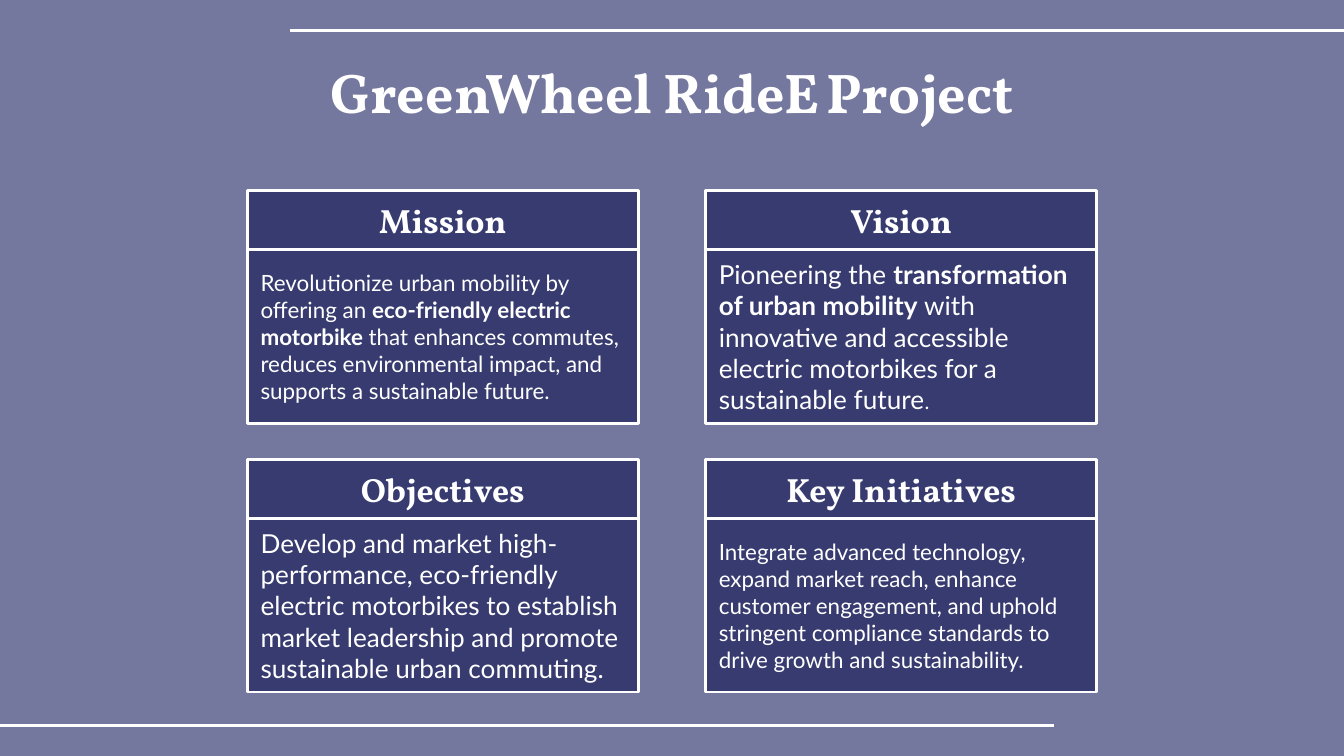
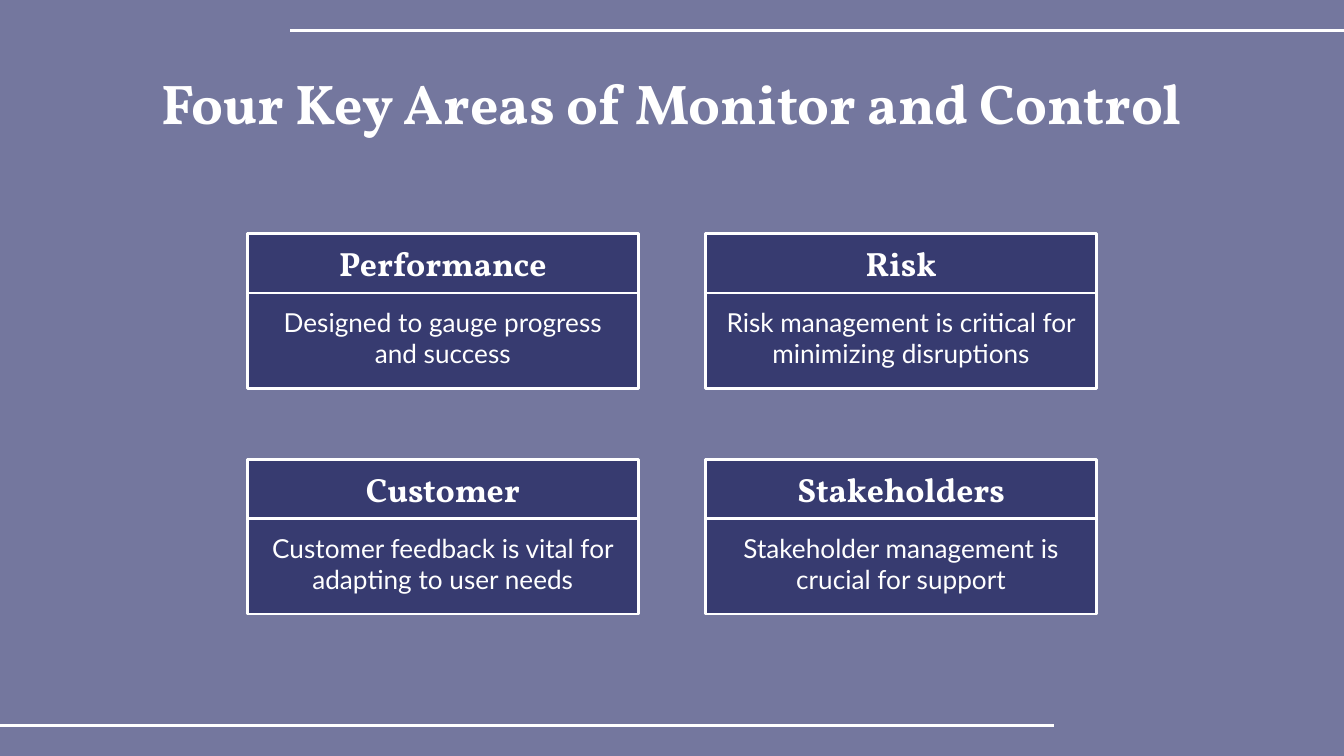
from lxml.etree import SubElement
from pptx import Presentation
from pptx.dml.color import RGBColor
from pptx.enum.shapes import MSO_CONNECTOR as Wire, MSO_SHAPE as Form
from pptx.enum.text import MSO_ANCHOR as Anchor, MSO_AUTO_SIZE as Fit, PP_ALIGN as Align
from pptx.oxml.ns import qn
from pptx.util import Inches, Pt

WIDE, HIGH = 10, 5.625
PALE = RGBColor(0xF3, 0xF4, 0xFF)
NAVY = RGBColor(0x00, 0x05, 0x46)
WHITE = RGBColor(0xFF, 0xFF, 0xFF)
SERIF, SANS = "Vollkorn", "Lato"
TITLE = (0.87, 0.41, 8.26, 0.53)
LEFT, SPAN, GAP = 1.84, 6.32, 0.5
HEAD = 0.44
TITLE_ONLY = 5


def write(shape, runs, size, font=SANS, bold=False, align=Align.LEFT,
          anchor=Anchor.MIDDLE, inset=0.1, after=0):
    """Fill a shape with one paragraph; a run is text or (text, font changes)."""
    frame = shape.text_frame
    frame.word_wrap, frame.auto_size = True, Fit.NONE
    frame.vertical_anchor = anchor
    frame.margin_left = frame.margin_right = Inches(inset)
    frame.margin_top = frame.margin_bottom = Inches(inset)
    para = frame.paragraphs[0]
    para.alignment, para.space_after = align, Pt(after)
    for item in [runs] if isinstance(runs, str) else runs:
        text, style = (item, {}) if isinstance(item, str) else item
        run = para.add_run()
        run.text = text
        run.font.name = font
        run.font.size = Pt(style.get("size", size))
        run.font.bold = style.get("bold", bold)
        run.font.color.rgb = style.get("color", WHITE)


def panel(slide, box, line=True):
    """Add a translucent navy rectangle."""
    shape = slide.shapes.add_shape(Form.RECTANGLE, *map(Inches, box))
    shape.shadow.inherit = False
    shape.fill.solid()
    shape.fill.fore_color.rgb = NAVY
    tint = shape.element.spPr.find(qn("a:solidFill"))[0]
    SubElement(tint, qn("a:alpha"), val="52000")
    if line:
        shape.line.color.rgb = WHITE
        shape.line.width = Pt(1.5)
    else:
        shape.line.fill.background()
    return shape


def rule(slide, start, end, y):
    line = slide.shapes.add_connector(
        Wire.STRAIGHT, *map(Inches, (start, y, end, y)))
    line.line.color.rgb = WHITE
    line.line.width = Pt(1.5)
    SubElement(line.element.spPr, qn("a:effectLst"))
    return line


def dress(layout, slide):
    """Give the layout its backdrop, drawn on a slide and then moved over."""
    layout.background.fill.solid()
    layout.background.fill.fore_color.rgb = PALE
    tree = layout.shapes.element
    for hold in list(layout.placeholders)[1:]:
        tree.remove(hold.element)
    edge = 0.216 * WIDE
    for part in (panel(slide, (0, 0, WIDE, HIGH), line=False),
                 rule(slide, WIDE, edge, 0.04 * HIGH),
                 rule(slide, WIDE - edge, 0, 0.96 * HIGH)):
        tree.append(part.element)


def card(slide, box, name, body, **style):
    x, y, w, h = box
    write(panel(slide, (x, y, w, HEAD)), name, 18, SERIF, bold=True,
          align=Align.CENTER, inset=0)
    write(panel(slide, (x, y + HEAD, w, h - HEAD)), body, after=12, **style)


def board(slide, title, tops, height, cards, hang=Anchor.MIDDLE, **style):
    """Set the title, hung as told, and lay the cards out in two columns."""
    head = slide.shapes.title
    head.left, head.top, head.width, head.height = map(Inches, TITLE)
    write(head, title, 30, SERIF, bold=True, align=Align.CENTER, anchor=hang)
    w = (SPAN - GAP) / 2
    for i, (name, body, size) in enumerate(cards):
        row, col = divmod(i, 2)
        box = (LEFT + col * (w + GAP), tops[row], w, height)
        card(slide, box, name, body, size=size, **style)


PROJECT = [
    ("Mission", ["Revolutionize urban mobility by offering an ",
                 ("eco-friendly electric motorbike ", {"bold": True}),
                 "that enhances commutes, reduces environmental impact, "
                 "and supports a sustainable future."], 12),
    ("Vision", ["Pioneering the ",
                ("transformation of urban mobility", {"bold": True}),
                " with innovative and accessible electric motorbikes "
                "for a sustainable future", (".", {"size": 11})], 14),
    ("Objectives", "Develop and market high-performance, eco-friendly electric "
                   "motorbikes to establish market leadership and promote "
                   "sustainable urban commuting.", 14),
    ("Key Initiatives", "Integrate advanced technology, expand market reach, "
                        "enhance customer engagement, and uphold stringent "
                        "compliance standards to drive growth and "
                        "sustainability.", 12),
]
AREAS = [
    ("Performance", "Designed to gauge progress and success", 14),
    ("Risk", "Risk management is critical for minimizing disruptions", 14),
    ("Customer", "Customer feedback is vital for adapting to user needs", 14),
    ("Stakeholders", "Stakeholder management is crucial for support", 14),
]


def main():
    deck = Presentation()
    deck.slide_width, deck.slide_height = Inches(WIDE), Inches(HIGH)
    layout = deck.slide_layouts[TITLE_ONLY]
    first, second = (deck.slides.add_slide(layout) for _ in range(2))
    dress(layout, first)
    title = ["GreenWheel RideE", (" ", {"size": 16, "color": NAVY}), "Project"]
    board(first, title, (1.42, 3.42), 1.73, PROJECT)
    board(second, "Four Key Areas of Monitor and Control", (1.74, 3.42), 1.15,
          AREAS, hang=Anchor.TOP, align=Align.CENTER, anchor=Anchor.TOP)
    deck.save("out.pptx")


if __name__ == "__main__":
    main()
